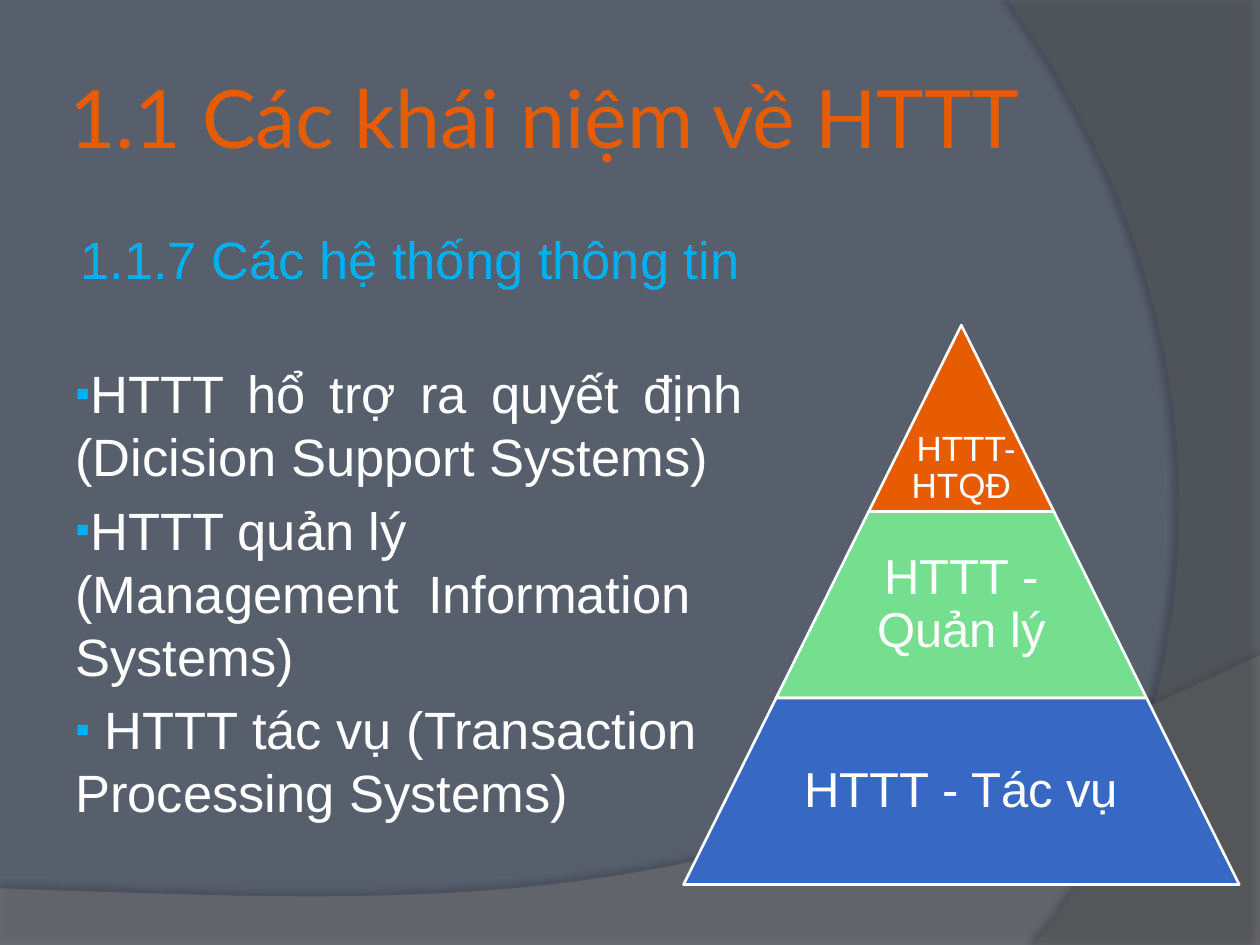
from dataclasses import dataclass

from lxml import etree
from pptx import Presentation
from pptx import util as u
from pptx.dml.color import RGBColor
from pptx.enum import shapes, text
from pptx.oxml.ns import qn

WHITE, ORANGE, CYAN = "FFFFFF", "E75C01", "00B0F0"
CURVE_STEPS = 40

Point = tuple[float, float]


@dataclass
class Swoosh:
    """Background outline: a Bezier curve closed through corner points."""
    curve: tuple[Point, Point, Point, Point]
    corners: list[Point]
    color: str
    opacity: int
    shadow_opacity: int
    shadow_distance: float
    shadow_angle: int


@dataclass
class Tier:
    label: str
    color: str
    size: int
    text_width: float
    anchor: text.MSO_ANCHOR = text.MSO_ANCHOR.MIDDLE


@dataclass
class Line:
    label: str
    before: float
    color: str = WHITE
    bullet: bool = True
    align: text.PP_ALIGN = text.PP_ALIGN.LEFT


SWOOSHES = [
    Swoosh(((10, 5.2), (5.59, 7.29), (3.91, 7.19), (0, 7.05)),
           [(0, 7.5), (10, 7.5)], "7F7F7F", 45, 35, 3.5, 270),
    Swoosh(((8.21, 7.5), (9.35, 6.19), (10.18, 3), (8, 0)),
           [(10, 0), (10, 7.5)], "5E5E5E", 40, 45, 4, 180),
]
LINES = [
    Line("1.1.7 Các hệ thống thông tin", 6, CYAN, bullet=False),
    Line("HTTT hổ trợ ra quyết định (Dicision Support Systems)", 41,
         align=text.PP_ALIGN.JUSTIFY),
    Line("HTTT quản lý (Management  Information Systems)", 6),
    Line(" HTTT tác vụ (Transaction Processing Systems)", 6),
]
TIERS = [
    Tier(" HTTT- HTQĐ", ORANGE, 20, 1.47, text.MSO_ANCHOR.BOTTOM),
    Tier("HTTT - Quản lý", "75DE8F", 28, 1.91),
    Tier("HTTT - Tác vụ", "3668C4", 28, 2.87),
]
# Pyramid: each tier is one apex width wider than the tier above
CENTER, TOP, APEX_WIDTH, TIER_HEIGHT = 7.63, 2.58, 1.47, 1.48


def rgb(color: str) -> RGBColor:
    return RGBColor.from_string(color)


def add_child(parent, tag: str, **attrs):
    return etree.SubElement(parent, qn(tag), {k: str(v) for k, v in attrs.items()})


def style(p, size: float, color: str, font: str = "Arial") -> None:
    for r in p.runs:
        r.font.size, r.font.name = u.Pt(size), font
        r.font.color.rgb = rgb(color)


def set_frame(tf, margin: float, anchor) -> None:
    tf.word_wrap = True
    tf.auto_size = text.MSO_AUTO_SIZE.NONE
    tf.vertical_anchor = anchor
    tf.margin_left = tf.margin_right = u.Inches(margin)
    tf.margin_top = tf.margin_bottom = u.Inches(margin)


def bezier(curve, t: float) -> Point:
    weights = ((1 - t) ** 3, 3 * t * (1 - t) ** 2, 3 * t * t * (1 - t), t ** 3)
    return (sum(w * x for w, (x, _) in zip(weights, curve)),
            sum(w * y for w, (_, y) in zip(weights, curve)))


def add_swoosh(s, swoosh: Swoosh) -> None:
    points = [bezier(swoosh.curve, i / CURVE_STEPS) for i in range(CURVE_STEPS + 1)]
    points = [(u.Inches(x), u.Inches(y)) for x, y in points + swoosh.corners]
    builder = s.shapes.build_freeform(*points[0])
    builder.add_line_segments(points[1:], close=True)
    sp = builder.convert_to_shape()
    sp.fill.solid()
    sp.fill.fore_color.rgb = rgb(swoosh.color)
    sp.line.fill.background()
    sp.shadow.inherit = False
    # Transparency and soft edge shadow
    sp_pr = sp.element.spPr
    add_child(sp_pr.find(qn("a:solidFill"))[0], "a:alpha", val=swoosh.opacity * 1000)
    shadow = add_child(sp_pr.find(qn("a:effectLst")), "a:outerShdw",
                       blurRad=u.Pt(4), dist=u.Pt(swoosh.shadow_distance),
                       dir=swoosh.shadow_angle * 60000, algn="ctr", rotWithShape=0)
    black = add_child(shadow, "a:srgbClr", val="000000")
    add_child(black, "a:alpha", val=swoosh.shadow_opacity * 1000)


def add_line(p, line: Line) -> None:
    p.text = line.label
    p.alignment = line.align
    p.space_before = u.Pt(line.before)
    p.line_spacing = u.Pt(36)
    style(p, 30, line.color)
    p_pr = p._p.get_or_add_pPr()
    p_pr.set("marL", str(0 if line.bullet else u.Inches(0.46)))
    p_pr.set("indent", str(u.Inches(-0.42)))
    if line.bullet:
        add_child(add_child(p_pr, "a:buClr"), "a:srgbClr", val=CYAN)
        add_child(p_pr, "a:buSzPct", val=80000)
        add_child(p_pr, "a:buFont", typeface="Arial")
        add_child(p_pr, "a:buChar", char="▪")


def add_tier(s, level: int, tier: Tier) -> None:
    width = APEX_WIDTH * (level + 1)
    top, height = u.Inches(TOP + TIER_HEIGHT * level), u.Inches(TIER_HEIGHT)
    sp = s.shapes.add_shape(shapes.MSO_SHAPE.TRAPEZOID, u.Inches(CENTER - width / 2),
                            top, u.Inches(width), height)
    sp.adjustments[0] = APEX_WIDTH / 2 / min(width, TIER_HEIGHT)
    sp.shadow.inherit = False
    sp.fill.solid()
    sp.fill.fore_color.rgb = rgb(tier.color)
    sp.line.color.rgb = rgb(WHITE)
    sp.line.width = u.Pt(1.5)

    box = s.shapes.add_textbox(u.Inches(CENTER - tier.text_width / 2), top,
                               u.Inches(tier.text_width), height)
    set_frame(box.text_frame, 0.04, tier.anchor)
    p = box.text_frame.paragraphs[0]
    p.text = tier.label
    p.alignment = text.PP_ALIGN.CENTER
    p.line_spacing = 0.9
    style(p, tier.size, WHITE)


def main() -> None:
    prs = Presentation()
    prs.slide_width, prs.slide_height = u.Inches(10), u.Inches(7.5)
    s = prs.slides.add_slide(prs.slide_layouts[5])

    # Background
    s.background.fill.solid()
    s.background.fill.fore_color.rgb = rgb("575F6D")
    for swoosh in SWOOSHES:
        add_swoosh(s, swoosh)

    # Title, brought in front of the background
    title = s.shapes.title
    title.element.getparent().append(title.element)
    title.left, title.top = u.Inches(0.5), u.Inches(0.3)
    title.width, title.height = u.Inches(8.17), u.Inches(1.25)
    set_frame(title.text_frame, 0.05, text.MSO_ANCHOR.MIDDLE)
    p = title.text_frame.paragraphs[0]
    p.text = "1.1 Các khái niệm về HTTT"
    p.alignment = text.PP_ALIGN.LEFT
    style(p, 46, ORANGE, "Lato")

    # Body
    body = s.shapes.add_textbox(u.Inches(0.5), u.Inches(1.75),
                                u.Inches(5.5), u.Inches(5.33))
    tf = body.text_frame
    set_frame(tf, 0.1, text.MSO_ANCHOR.TOP)
    tf.margin_top = tf.margin_bottom = u.Inches(0.05)
    for i, line in enumerate(LINES):
        add_line(tf.add_paragraph() if i else tf.paragraphs[0], line)

    # Pyramid
    for level, tier in enumerate(TIERS):
        add_tier(s, level, tier)

    prs.save("out.pptx")


if __name__ == "__main__":
    main()
